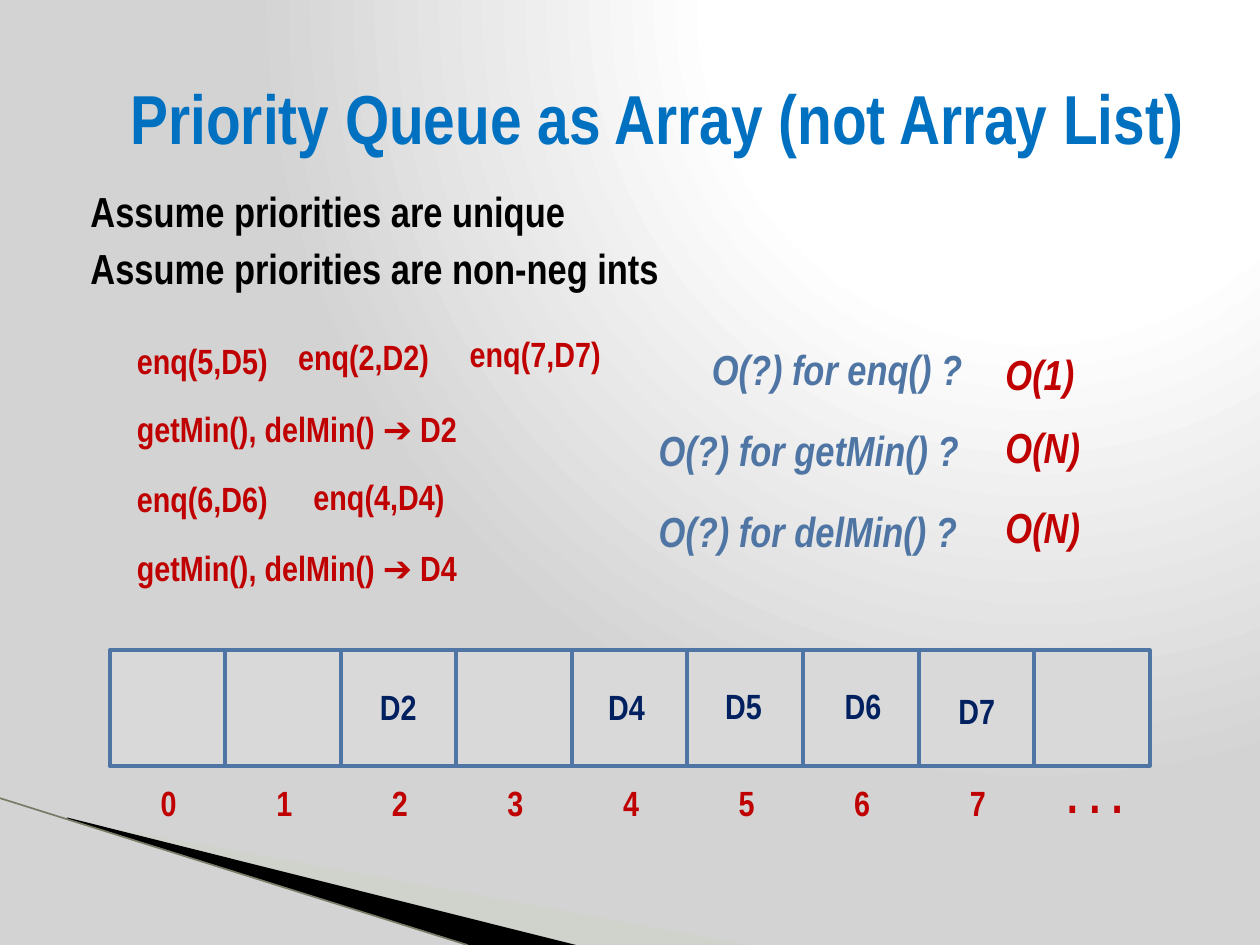
from typing import NamedTuple

from lxml.etree import SubElement
from pptx import Presentation
from pptx.dml.color import RGBColor
from pptx.enum.shapes import MSO_CONNECTOR, MSO_SHAPE
from pptx.enum.text import MSO_ANCHOR, MSO_AUTO_SIZE, PP_ALIGN
from pptx.oxml.ns import qn
from pptx.util import Cm, Pt

FONT = "Arial Narrow"
TITLE_BLUE = RGBColor(0x00, 0x70, 0xC0)
BLACK = RGBColor(0x00, 0x00, 0x00)
RED = RGBColor(0xC0, 0x00, 0x00)
NAVY = RGBColor(0x00, 0x20, 0x60)
STEEL = RGBColor(0x4E, 0x75, 0xA3)
CELL_GREY = RGBColor(0xD9, 0xD9, 0xD9)
SAGE = RGBColor(0xCB, 0xD4, 0xC0)
OLIVE = RGBColor(0x7A, 0x7A, 0x66)

CELL = 2.33
CELL_COUNT = 9
ARRAY_LEFT, ARRAY_TOP = 2.21, 13.11
INDEX_TOP = 15.62
TEXT_INDENT = Cm(0.3)


class Label(NamedTuple):
    """Text with its place in centimetres."""
    text: str
    left: float
    top: float
    width: float


class Style(NamedTuple):
    size: float
    color: RGBColor
    height: float
    indent: int = 0
    italic: bool = False


CALL = Style(20, RED, 1.12, TEXT_INDENT)
ENTRY = Style(20, NAVY, 1.12, TEXT_INDENT)
ELLIPSIS = Style(28, RED, 1.45, TEXT_INDENT)
QUESTION = Style(24, STEEL, 1.27, italic=True)
ANSWER = Style(24, RED, 1.27, italic=True)

CALLS = [
    Label("enq(5,D5)", 2.21, 6.71, 3.61),
    Label("enq(2,D2)", 5.46, 6.63, 3.78),
    Label("enq(7,D7)", 8.92, 6.58, 3.58),
    Label("getMin(), delMin() ➔ D2", 2.21, 8.1, 7.87),
    Label("enq(6,D6)", 2.21, 9.5, 3.61),
    Label("enq(4,D4)", 5.77, 9.47, 3.58),
    Label("getMin(), delMin() ➔ D4", 2.21, 10.9, 7.87),
]
ENTRIES = [
    Label("D2", 7.11, 13.69, 1.65),
    Label("D4", 11.71, 13.69, 1.65),
    Label("D5", 14.07, 13.67, 1.65),
    Label("D6", 16.48, 13.67, 1.65),
    Label("D7", 18.77, 13.77, 1.65),
]
QUESTIONS = [
    Label("O(?) for enq() ?", 14.1, 6.81, 5.56),
    Label("O(?) for getMin() ?", 13.03, 8.43, 7.42),
    Label("O(?) for delMin() ?", 13.03, 10.06, 7.42),
]
ANSWERS = [
    Label("O(1)", 20.02, 6.91, 2.11),
    Label("O(N)", 20.02, 8.38, 2.11),
    Label("O(N)", 20.02, 9.98, 2.11),
]


def set_background(slide) -> None:
    """Fill the background with a radial gradient, lightest at the top right."""
    slide.background.fill.gradient()
    gradient = slide.element.find(".//" + qn("a:gradFill"))
    for child in list(gradient):
        gradient.remove(child)
    stops = SubElement(gradient, qn("a:gsLst"))
    for percent, color in ((0, "FFFFFF"), (40, "FFFFFF"), (100, "D3D3D3")):
        stop = SubElement(stops, qn("a:gs"), pos=str(percent * 1000))
        SubElement(stop, qn("a:srgbClr"), val=color)
    circle = SubElement(gradient, qn("a:path"), path="circle")
    SubElement(circle, qn("a:fillToRect"), l="65000", t="0", r="0", b="98000")


def style_paragraph(paragraph, size: float, color: RGBColor,
                    indent: int = 0, italic: bool = False) -> None:
    properties = paragraph._p.get_or_add_pPr()
    properties.set("marL", str(indent))
    properties.set("indent", "0")
    SubElement(properties, qn("a:buNone"))
    font = paragraph.font
    font.name, font.size, font.bold, font.italic = FONT, Pt(size), True, italic
    font.color.rgb = color


def add_label(shapes, label: Label, style: Style) -> None:
    box = shapes.add_textbox(Cm(label.left), Cm(label.top),
                             Cm(label.width), Cm(style.height))
    frame = box.text_frame
    frame.word_wrap = True
    frame.auto_size = MSO_AUTO_SIZE.SHAPE_TO_FIT_TEXT
    frame.text = label.text
    style_paragraph(frame.paragraphs[0], style.size, style.color,
                    style.indent, style.italic)


def add_wedge(shapes, points: list[tuple[float, float]], color: RGBColor):
    corners = [(Cm(x), Cm(y)) for x, y in points]
    builder = shapes.build_freeform(*corners[0])
    builder.add_line_segments(corners[1:])
    wedge = builder.convert_to_shape()
    wedge.shadow.inherit = False
    wedge.fill.solid()
    wedge.fill.fore_color.rgb = color
    wedge.line.fill.background()
    return wedge


def add_swoosh(shapes) -> None:
    """Draw the wedges and the thin line in the lower left corner."""
    pale = add_wedge(shapes, [(1.4, 16.54), (15.11, 19.05),
                              (11.58, 19.05), (1.4, 16.51)], SAGE)
    color = pale.element.spPr.find(".//" + qn("a:srgbClr"))
    SubElement(color, qn("a:alpha"), val="40000")
    add_wedge(shapes, [(1.35, 16.48), (11.61, 19.05),
                       (9.45, 19.05), (1.37, 16.51)], BLACK)
    edge = shapes.add_connector(MSO_CONNECTOR.STRAIGHT, 0, Cm(16.09),
                                Cm(9.42), Cm(19.05))
    edge.line.color.rgb = OLIVE
    edge.line.width = Pt(0.95)
    SubElement(edge.element.spPr, qn("a:effectLst"))


def add_array(shapes) -> None:
    """Draw the row of cells with the indices below it."""
    array = shapes.add_group_shape().shapes
    for i in range(CELL_COUNT):
        cell = array.add_shape(MSO_SHAPE.RECTANGLE, Cm(ARRAY_LEFT + i * CELL),
                               Cm(ARRAY_TOP), Cm(CELL), Cm(CELL))
        cell.shadow.inherit = False
        cell.fill.solid()
        cell.fill.fore_color.rgb = CELL_GREY
        cell.line.color.rgb = STEEL
        cell.line.width = Pt(2.25)
    for i in range(CELL_COUNT - 1):
        left = ARRAY_LEFT + i * CELL + 0.48
        add_label(array, Label(str(i), left, INDEX_TOP, 1.35), CALL)
    add_label(array, Label(". . .", 20.96, 15.29, 2.06), ELLIPSIS)


def fill_placeholder(placeholder, lines: list[str], top: float, height: float):
    placeholder.left, placeholder.top = Cm(1.27), Cm(top)
    placeholder.width, placeholder.height = Cm(22.86), Cm(height)
    frame = placeholder.text_frame
    frame.text = "\n".join(lines)
    frame.word_wrap = True
    frame.auto_size = MSO_AUTO_SIZE.NONE
    return frame


def main() -> None:
    presentation = Presentation()
    presentation.slide_width, presentation.slide_height = Cm(25.4), Cm(19.05)
    slide = presentation.slides.add_slide(presentation.slide_layouts[1])
    set_background(slide)
    shapes = slide.shapes

    title = fill_placeholder(
        shapes.title, ["Priority Queue as Array (not Array List)"], 0.76, 3.18)
    title.vertical_anchor = MSO_ANCHOR.MIDDLE
    title.paragraphs[0].alignment = PP_ALIGN.RIGHT
    style_paragraph(title.paragraphs[0], 39.6, TITLE_BLUE)

    assumptions = fill_placeholder(
        slide.placeholders[1],
        ["Assume priorities are unique", "Assume priorities are non-neg ints"],
        3.61, 13.16)
    for i, paragraph in enumerate(assumptions.paragraphs):
        paragraph.space_before = Pt(4 if i else 0)
        style_paragraph(paragraph, 24, BLACK, TEXT_INDENT)

    add_swoosh(shapes)
    add_array(shapes)
    for labels, style in ((CALLS, CALL), (ENTRIES, ENTRY),
                          (QUESTIONS, QUESTION), (ANSWERS, ANSWER)):
        for label in labels:
            add_label(shapes, label, style)
    presentation.save("out.pptx")


if __name__ == "__main__":
    main()
